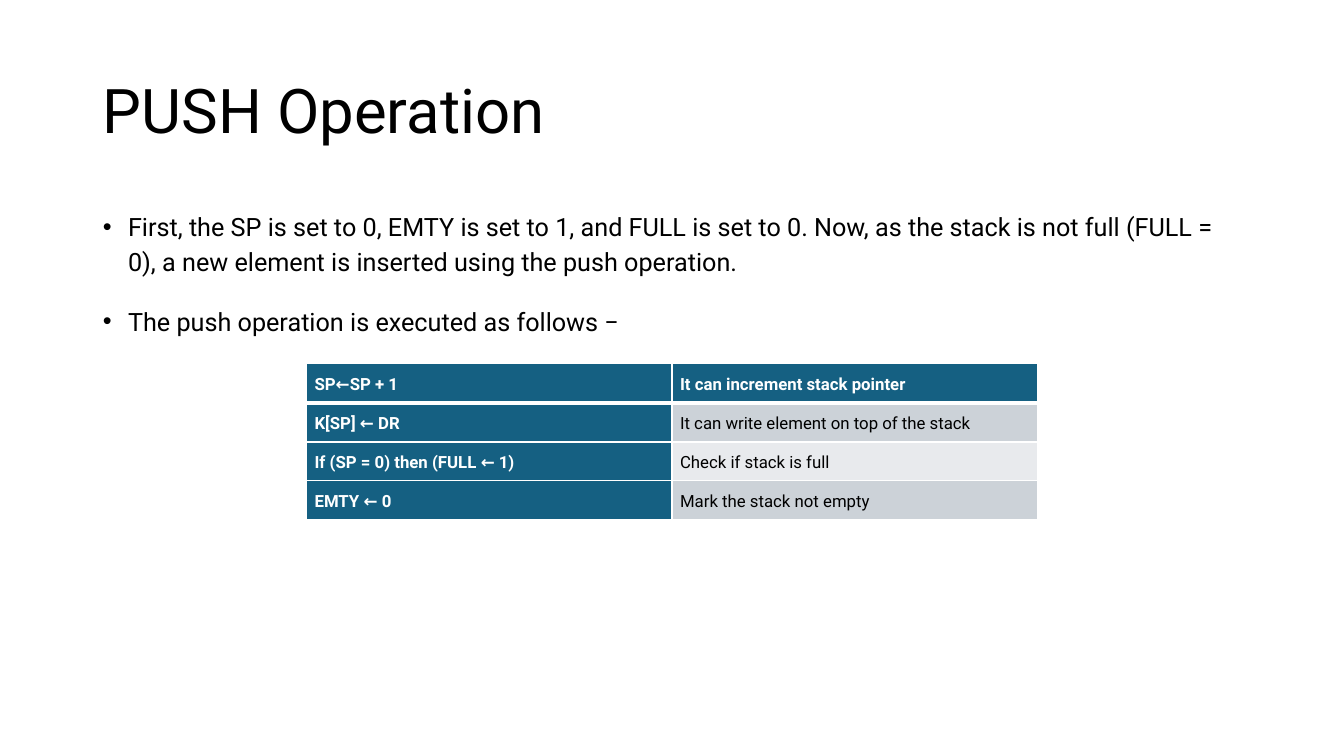
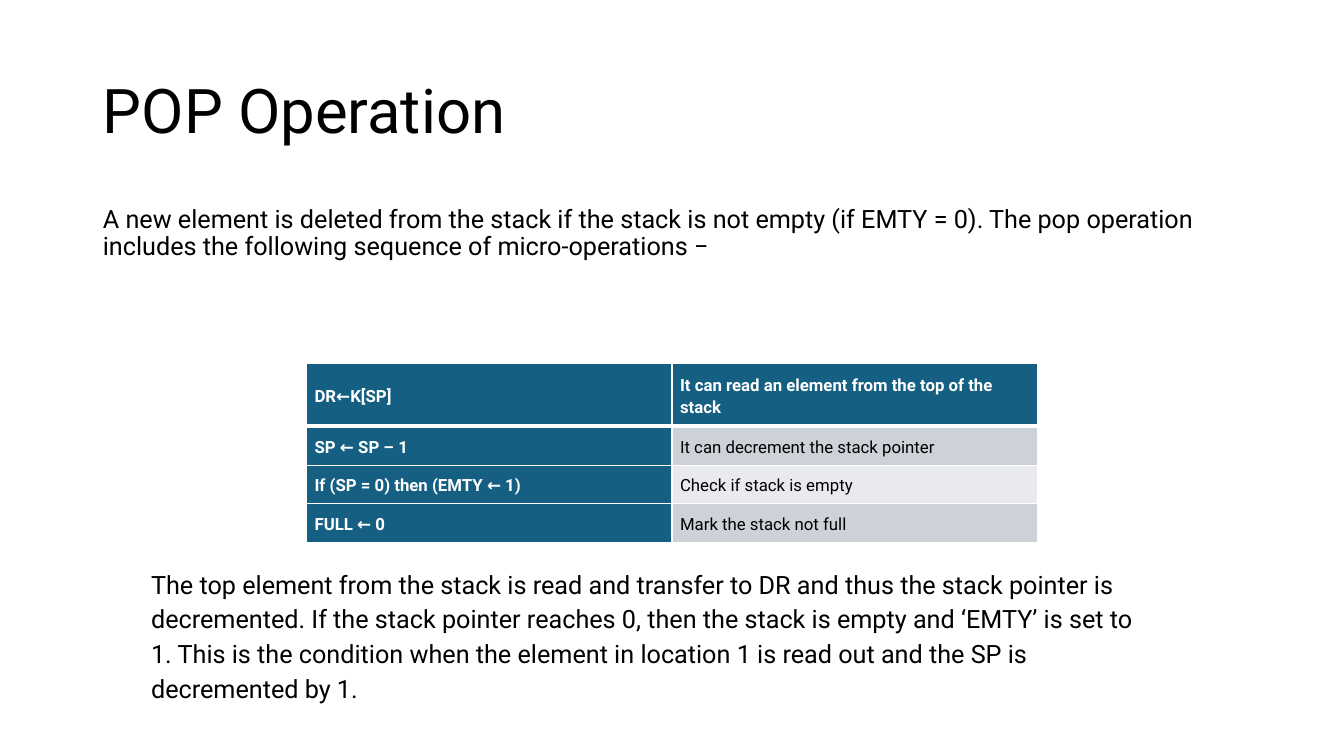
from lxml import etree
from pptx import Presentation
from pptx.dml.color import RGBColor
from pptx.enum.text import MSO_ANCHOR, MSO_AUTO_SIZE, PP_ALIGN
from pptx.oxml.ns import qn
from pptx.util import Inches, Pt

LEFT, MIDDLE = PP_ALIGN.LEFT, MSO_ANCHOR.MIDDLE
NO_FIT, GROW = MSO_AUTO_SIZE.NONE, MSO_AUTO_SIZE.SHAPE_TO_FIT_TEXT
BLACK = RGBColor(0x00, 0x00, 0x00)
WHITE = RGBColor(0xFF, 0xFF, 0xFF)
TEAL = RGBColor(0x15, 0x60, 0x82)
BANDS = RGBColor(0xCC, 0xD2, 0xD8), RGBColor(0xE8, 0xEA, 0xED)
FONT = "Roboto"

SLIDES = [
    {
        "title": "PUSH Operation",
        "bullet": True,
        "body": [
            "First, the SP is set to 0, EMTY is set to 1, and FULL is set to 0. "
            "Now, as the stack is not full (FULL = 0), a new element is inserted "
            "using the push operation.",
            "The push operation is executed as follows −",
        ],
        "head": 0.39,
        "steps": [
            ("SP←SP + 1", "It can increment stack pointer"),
            ("K[SP] ← DR", "It can write element on top of the stack"),
            ("If (SP = 0) then (FULL ← 1)", "Check if stack is full"),
            ("EMTY ← 0", "Mark the stack not empty"),
        ],
        "note": None,
    },
    {
        "title": "POP Operation",
        "bullet": False,
        "body": [
            "A new element is deleted from the stack if the stack is not empty "
            "(if EMTY = 0). The pop operation includes the following sequence of "
            "micro-operations −",
        ],
        "head": 0.62,
        "steps": [
            ("DR←K[SP]", "It can read an element from the top of the stack"),
            ("SP ← SP – 1", "It can decrement the stack pointer"),
            ("If (SP = 0) then (EMTY ← 1)", "Check if stack is empty"),
            ("FULL ← 0", "Mark the stack not full"),
        ],
        "note": "The top element from the stack is read and transfer to DR and thus "
                "the stack pointer is decremented. If the stack pointer reaches 0, "
                "then the stack is empty and ‘EMTY’ is set to 1. This is the "
                "condition when the element in location 1 is read out and the SP is "
                "decremented by 1.",
    },
]

TITLE_BOX = (0.92, 0.4, 11.5, 1.45)
BODY_BOX = (0.92, 2, 11.5, 4.76)
NOTE_BOX = (1.4, 5.55, 10.02, 1.48)
TABLE_AT = (3.04, 3.61)
TABLE_W, ROW_H, PAD = 7.25, 0.38, 0.08

TIGHT = {"alignment": LEFT, "line_spacing": 0.9,
         "space_before": Pt(0), "space_after": Pt(0)}
LEAD = {**TIGHT, "space_before": Pt(10)}
LOOSE = {**TIGHT, "line_spacing": 1.15, "space_after": Pt(8)}
ITEM = {**LOOSE, "space_before": Pt(10)}
CELL = {"vertical_anchor": MIDDLE, **{
    "margin_" + side: Inches(PAD) for side in ("left", "top", "right", "bottom")}}


def apply(target, values):
    for name, value in values.items():
        setattr(target, name, value)


def place(shape, box):
    names = ("left", "top", "width", "height")
    apply(shape, dict(zip(names, map(Inches, box))))


def write(frame, lines, style, size, color=BLACK, bold=False):
    """Fill a text frame with one paragraph per line."""
    for i, line in enumerate(lines):
        para = frame.paragraphs[0] if i == 0 else frame.add_paragraph()
        apply(para, style)
        run = para.add_run()
        run.text = line
        apply(run.font, {"name": FONT, "size": Pt(size), "bold": bold})
        run.font.color.rgb = color


def set_bullet(para, shown):
    props = para._p.get_or_add_pPr()
    hang = Inches(0.25) if shown else 0
    props.set("marL", str(hang))
    props.set("indent", str(-hang))
    if shown:
        etree.SubElement(props, qn("a:buFont")).set("typeface", "Arial")
        etree.SubElement(props, qn("a:buChar")).set("char", "•")
    else:
        etree.SubElement(props, qn("a:buNone"))


def add_edges(cell, row):
    """Draw white cell borders, thick below the header row."""
    props = cell._tc.get_or_add_tcPr()
    thick = {(0, "B"), (1, "T")}
    for side in "LRTB":
        line = etree.SubElement(props, qn("a:ln" + side))
        line.set("w", str(Pt(3 if (row, side) in thick else 1)))
        fill = etree.SubElement(line, qn("a:solidFill"))
        etree.SubElement(fill, qn("a:srgbClr")).set("val", str(WHITE))


def add_steps(slide, steps, head):
    height = head + ROW_H * (len(steps) - 1)
    table = slide.shapes.add_table(
        len(steps), 2, *map(Inches, (*TABLE_AT, TABLE_W, height))).table
    for r, step in enumerate(steps):
        table.rows[r].height = Inches(ROW_H if r else head)
        for c, text in enumerate(step):
            cell = table.cell(r, c)
            strong = r == 0 or c == 0
            apply(cell, CELL)
            add_edges(cell, r)
            cell.fill.solid()
            cell.fill.fore_color.rgb = TEAL if strong else BANDS[(r - 1) % 2]
            write(cell.text_frame, [text], LOOSE, 12,
                  WHITE if strong else BLACK, strong)


def add_note(slide, text):
    frame = slide.shapes.add_textbox(*map(Inches, NOTE_BOX)).text_frame
    apply(frame, {"word_wrap": True, "auto_size": GROW})
    write(frame, [text], LOOSE, 18)


def add_page(deck, layout, page):
    slide = deck.slides.add_slide(layout)
    title, body = slide.shapes.title, slide.placeholders[1]
    for shape, box in ((title, TITLE_BOX), (body, BODY_BOX)):
        place(shape, box)
        shape.text_frame.auto_size = NO_FIT
    title.text_frame.vertical_anchor = MIDDLE
    write(title.text_frame, [page["title"]], TIGHT, 44)
    write(body.text_frame, page["body"], ITEM if page["bullet"] else LEAD, 18)
    for para in body.text_frame.paragraphs:
        set_bullet(para, page["bullet"])
    add_steps(slide, page["steps"], page["head"])
    if page["note"]:
        add_note(slide, page["note"])


def main():
    deck = Presentation()
    apply(deck, {"slide_width": Inches(13.33), "slide_height": Inches(7.5)})
    for page in SLIDES:
        add_page(deck, deck.slide_layouts[1], page)
    deck.save("out.pptx")


if __name__ == "__main__":
    main()
